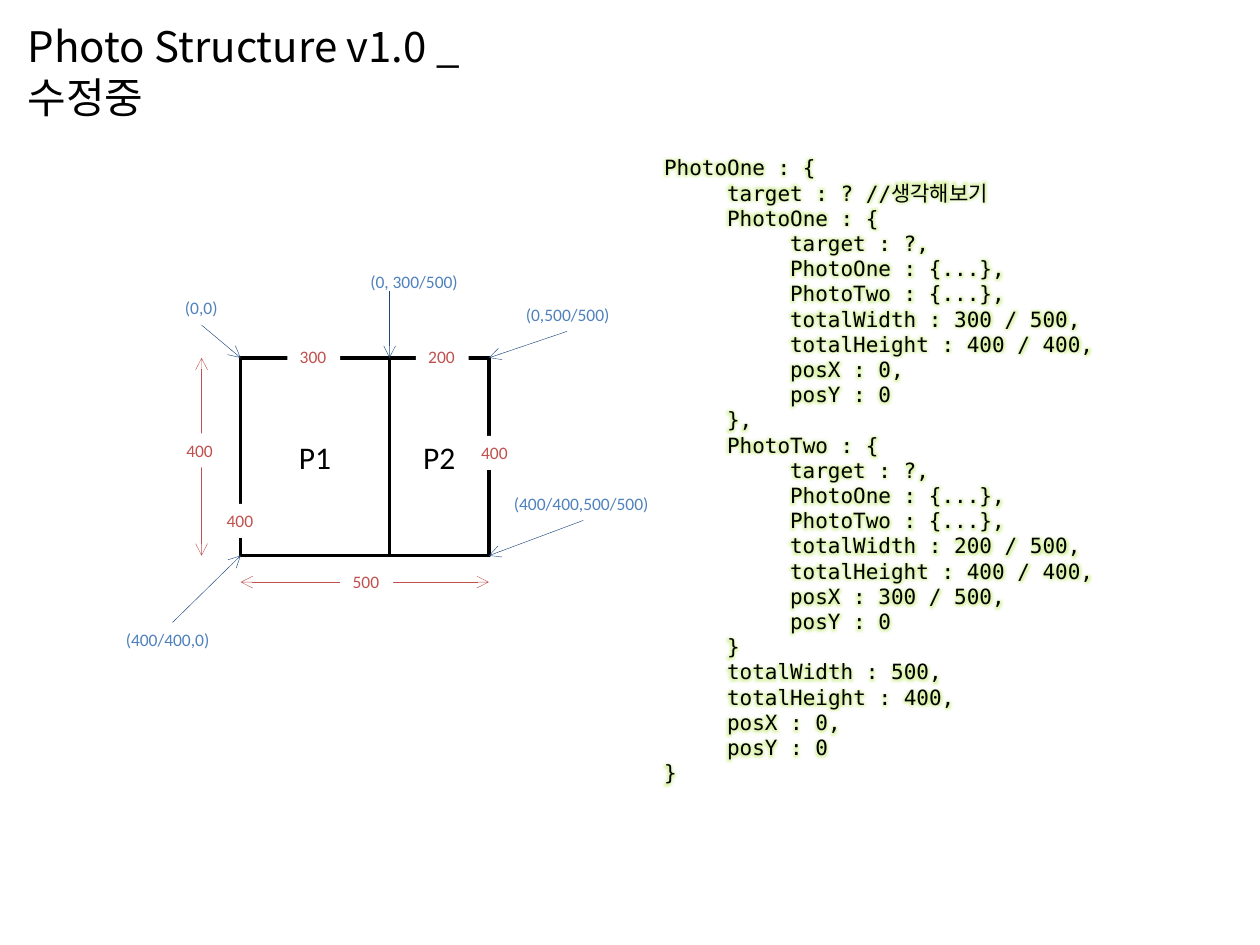
from dataclasses import dataclass

from lxml import etree
from pptx import Presentation
from pptx.dml.color import RGBColor
from pptx.enum.shapes import MSO_CONNECTOR, MSO_SHAPE
from pptx.enum.text import MSO_ANCHOR, MSO_AUTO_SIZE, PP_ALIGN
from pptx.oxml.ns import qn
from pptx.util import Inches, Pt

RECT, STRAIGHT = MSO_SHAPE.RECTANGLE, MSO_CONNECTOR.STRAIGHT
TOP, MIDDLE = MSO_ANCHOR.TOP, MSO_ANCHOR.MIDDLE
LEFT, CENTER = PP_ALIGN.LEFT, PP_ALIGN.CENTER
NO_FIT, GROW = MSO_AUTO_SIZE.NONE, MSO_AUTO_SIZE.SHAPE_TO_FIT_TEXT


@dataclass(frozen=True)
class Theme:
    black: str = "000000"
    white: str = "FFFFFF"
    size_red: str = "C0504D"
    point_blue: str = "4F81BD"
    arrow_navy: str = "1F497D"
    title_font: str = "Noto Sans CJK KR"
    code_font: str = "DejaVu Sans Mono"
    label_font: str = "Calibri"
    title: float = 24
    photo: float = 18
    code: float = 12
    label: float = 10
    title_line: float = 29
    code_line: float = 14.4
    frame: float = 2
    arrow: float = 0.25
    glow: float = 5


T = Theme()
INDENT = 0.5
LABEL_H = 0.27

CODE = [
    (0, "PhotoOne : {"),
    (1, "target : ? //생각해보기"),
    (1, "PhotoOne : {"),
    (2, "target : ?,"),
    (2, "PhotoOne : {...},"),
    (2, "PhotoTwo : {...},"),
    (2, "totalWidth : 300 / 500,"),
    (2, "totalHeight : 400 / 400,"),
    (2, "posX : 0,"),
    (2, "posY : 0"),
    (1, "},"),
    (1, "PhotoTwo : {"),
    (2, "target : ?,"),
    (2, "PhotoOne : {...},"),
    (2, "PhotoTwo : {...},"),
    (2, "totalWidth : 200 / 500,"),
    (2, "totalHeight : 400 / 400,"),
    (2, "posX : 300 / 500,"),
    (2, "posY : 0"),
    (1, "}"),
    (1, "totalWidth : 500,"),
    (1, "totalHeight : 400,"),
    (1, "posX : 0,"),
    (1, "posY : 0"),
    (0, "}"),
]


def set_attrs(obj, values):
    for name, value in values.items():
        setattr(obj, name, value)


def place(sp, box):
    set_attrs(sp, dict(zip(("left", "top", "width", "height"), map(Inches, box))))


def add_run(p, text, font, size, color):
    r = p.add_run()
    r.text = text
    set_attrs(r.font, {"name": font, "size": Pt(size)})
    r.font.color.rgb = RGBColor.from_string(color)
    ea = etree.Element(qn("a:ea"), typeface=T.title_font)
    r.font._element.find(qn("a:latin")).addnext(ea)
    return r


def add_glow(r):
    effects = etree.Element(qn("a:effectLst"))
    glow = etree.SubElement(effects, qn("a:glow"), rad=str(Pt(T.glow)))
    color = etree.SubElement(glow, qn("a:schemeClr"), val="accent3")
    etree.SubElement(color, qn("a:satMod"), val="175000")
    etree.SubElement(color, qn("a:alpha"), val="40000")
    r.font._element.find(qn("a:solidFill")).addnext(effects)


def add_title(slide, box, text):
    sp = slide.shapes.title
    place(sp, box)
    tf = sp.text_frame
    set_attrs(tf, {"word_wrap": True, "auto_size": NO_FIT, "vertical_anchor": TOP})
    p = tf.paragraphs[0]
    set_attrs(p, {"alignment": LEFT, "line_spacing": Pt(T.title_line)})
    add_run(p, text, T.title_font, T.title, T.black)


def add_code(slide, box, lines):
    sp = slide.placeholders[1]
    place(sp, box)
    tf = sp.text_frame
    set_attrs(tf, {"word_wrap": True, "auto_size": NO_FIT, "vertical_anchor": TOP})
    for i, (level, text) in enumerate(lines):
        p = tf.add_paragraph() if i else tf.paragraphs[0]
        set_attrs(p, {"level": level, "alignment": LEFT, "space_before": Pt(0),
                      "line_spacing": Pt(T.code_line)})
        pPr = p._p.get_or_add_pPr()
        pPr.set("marL", str(Inches(INDENT * level)))
        pPr.set("indent", "0")
        etree.SubElement(pPr, qn("a:buNone"))
        add_glow(add_run(p, text, T.code_font, T.code, T.black))


def add_photo(slide, box, name):
    sp = slide.shapes.add_shape(RECT, *map(Inches, box))
    sp.shadow.inherit = False
    sp.fill.background()
    sp.line.width = Pt(T.frame)
    sp.line.color.rgb = RGBColor.from_string(T.black)
    sp.text_frame.vertical_anchor = MIDDLE
    p = sp.text_frame.paragraphs[0]
    p.alignment = CENTER
    add_run(p, name, T.label_font, T.photo, T.black)


def add_label(slide, x, y, w, text, color, fill=None, wrap=False, align=LEFT):
    box = map(Inches, (x, y, w, LABEL_H))
    if fill:
        sp = slide.shapes.add_shape(RECT, *box)
        sp.shadow.inherit = False
        sp.fill.solid()
        sp.fill.fore_color.rgb = RGBColor.from_string(fill)
        sp.line.fill.background()
    else:
        sp = slide.shapes.add_textbox(*box)
    tf = sp.text_frame
    set_attrs(tf, {"word_wrap": wrap, "auto_size": GROW, "vertical_anchor": TOP})
    p = tf.paragraphs[0]
    p.alignment = align
    add_run(p, text, T.label_font, T.label, color)


def add_arrow(slide, start, end, color, ends=("tailEnd",)):
    cxn = slide.shapes.add_connector(STRAIGHT, *map(Inches, (*start, *end)))
    cxn.line.width = Pt(T.arrow)
    cxn.line.color.rgb = RGBColor.from_string(color)
    ln = cxn.line._get_or_add_ln()
    for tag in ends:
        etree.SubElement(ln, qn(f"a:{tag}"), type="arrow")
    etree.SubElement(cxn._element.spPr, qn("a:effectLst"))


def add_diagram(slide, box):
    x, y, w, h = box
    split, right, bottom = x + w * 3 / 5, x + w, y + h
    add_photo(slide, (x, y, split - x, h), "P1")
    add_photo(slide, (split, y, right - split, h), "P2")

    both = ("headEnd", "tailEnd")
    add_arrow(slide, (x, bottom + 0.21), (right, bottom + 0.21), T.size_red, both)
    add_arrow(slide, (x - 0.31, y), (x - 0.31, bottom), T.size_red, both)
    for dx, dy, text in [(-0.21, 1.16, "400"), (0.37, -0.14, "300"),
                         (1.39, -0.14, "200"), (1.81, 0.62, "400"),
                         (0.79, 1.64, "500"), (-0.53, 0.6, "400")]:
        add_label(slide, x + dx, y + dy, 0.42, text, T.size_red, fill=T.white)

    for dx, dy, corner in [(-0.31, -0.26, (x, y)), (0.62, -0.21, (right, y)),
                           (0.75, -0.28, (right, bottom)),
                           (-0.54, 0.53, (x, bottom)), (0, -0.53, (split, y))]:
        add_arrow(slide, (corner[0] + dx, corner[1] + dy), corner, T.arrow_navy)
    for dx, dy, width, text, wrap, align in [
            (-0.54, -0.53, 0.46, "(0,0)", False, LEFT),
            (2.16, -0.48, 0.87, "(0,500/500)", True, CENTER),
            (2.07, 1.02, 1.28, "(400/400,500/500)", False, LEFT),
            (-1.01, 2.1, 0.93, "(400/400,0)", True, LEFT),
            (0.93, -0.74, 0.91, "(0, 300/500)", False, LEFT)]:
        add_label(slide, x + dx, y + dy, width, text, T.point_blue,
                  wrap=wrap, align=align)


def main():
    prs = Presentation()
    prs.slide_width, prs.slide_height = Inches(10), Inches(7.5)
    slide = prs.slides.add_slide(prs.slide_layouts[1])
    add_title(slide, (0.12, 0.11, 3.9, 0.5), "Photo Structure v1.0 _ 수정중")
    add_diagram(slide, (1.91, 2.84, 1.97, 1.57))
    add_code(slide, (5.17, 1.18, 4.28, 5.15), CODE)
    prs.save("out.pptx")


if __name__ == "__main__":
    main()
